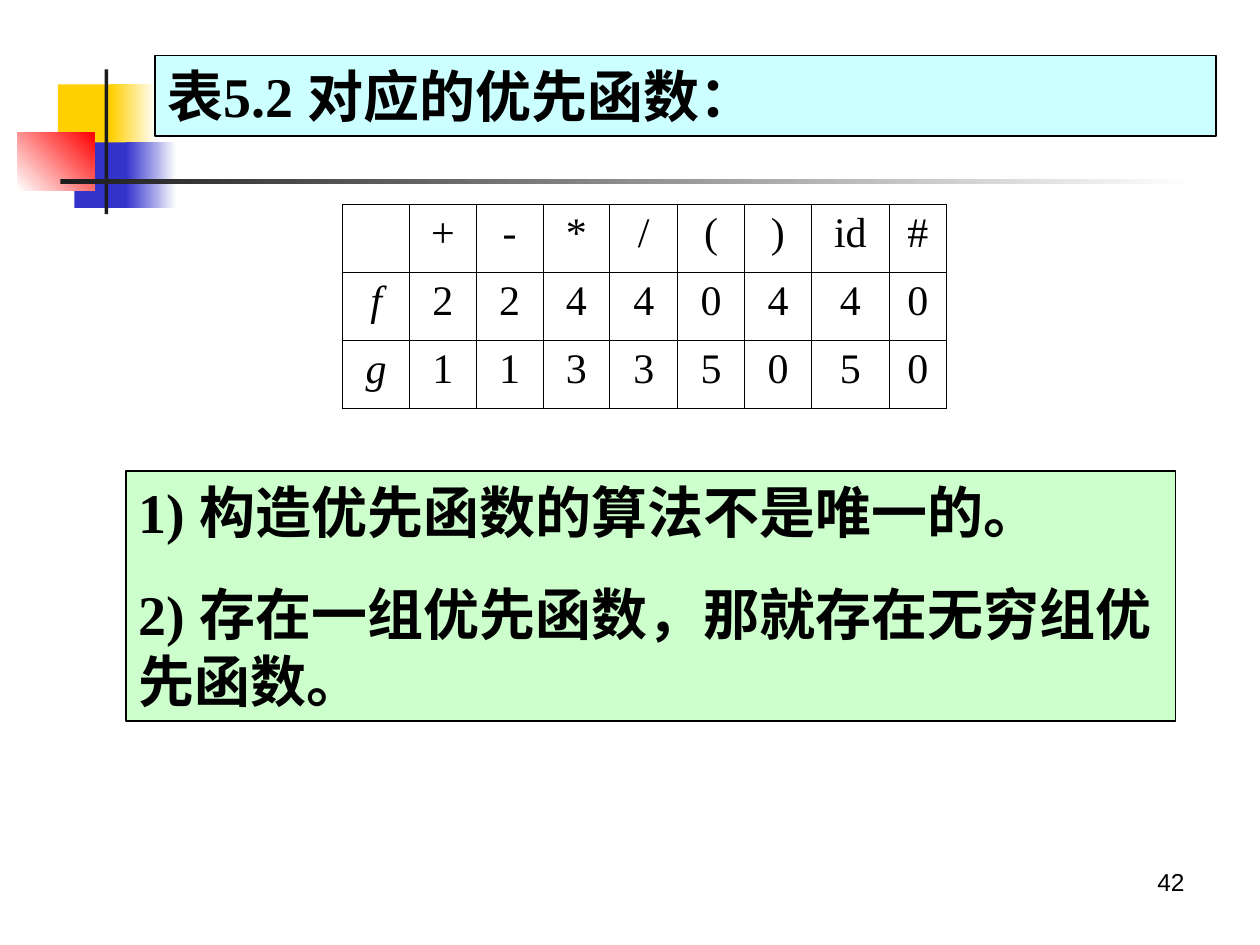
from lxml import etree
from pptx import Presentation, util as u
from pptx.dml.color import RGBColor
from pptx.enum import shapes, text
from pptx.oxml.ns import qn

SERIF = "Times New Roman"
BLACK, WHITE = "000000", "FFFFFF"
HEADING = "表5.2 对应的优先函数："
NOTES = ["1) 构造优先函数的算法不是唯一的。",
         "2) 存在一组优先函数，那就存在无穷组优先函数。"]
PAGE_NUMBER = "42"
PRECEDENCE = [["", "+", "-", "*", "/", "(", ")", "id", "#"],
              ["f", "2", "2", "4", "4", "0", "4", "4", "0"],
              ["g", "1", "1", "3", "3", "5", "0", "5", "0"]]
COLUMN_WIDTHS = [0.53] * 4 + [0.54, 0.53, 0.53, 0.62, 0.45]
ROW_HEIGHT = 0.54

# Corner ornament: place, colours (two make a gradient), counter-clockwise angle
ORNAMENT = [((0.46, 0.67, 0.48, 0.52), ["FFCF01"], 0),
            ((0.88, 0.67, 0.36, 0.52), ["FFCF01", WHITE], 0),
            ((0.59, 1.13, 0.46, 0.52), ["3333CC"], 0),
            ((1.00, 1.13, 0.40, 0.52), ["3333CC", WHITE], 0),
            ((0.14, 1.05, 0.61, 0.46), [WHITE, "FF0000"], 45),
            ((0.83, 0.55, 0.03, 1.15), ["1C1C1C"], 0),
            ((0.48, 1.42, 9.00, 0.04), ["1C1C1C", WHITE], 0)]


def rgb(color):
    return RGBColor.from_string(color)


def inches(place):
    return [u.Inches(length) for length in place]


def paint(target, color):
    target.fill.solid()
    target.fill.fore_color.rgb = rgb(color)


def outline(shape, color, points):
    shape.line.color.rgb = rgb(color)
    shape.line.width = u.Pt(points)


def rectangle(place):
    rect = slide.shapes.add_shape(shapes.MSO_SHAPE.RECTANGLE, *inches(place))
    rect.shadow.inherit = False
    return rect


def write(frame, lines, size, font=SERIF, align=text.PP_ALIGN.LEFT,
          bold=False, italic=False, gap=0):
    frame.word_wrap = True
    frame.vertical_anchor = text.MSO_ANCHOR.TOP
    for i, line in enumerate(lines):
        paragraph = frame.add_paragraph() if i else frame.paragraphs[0]
        paragraph.alignment = align
        paragraph.space_before = u.Pt(gap if i else 0)
        run = paragraph.add_run()
        run.text = line
        run.font.name, run.font.size = font, u.Pt(size)
        run.font.bold, run.font.italic = bold, italic
        run.font.color.rgb = rgb(BLACK)


def border(cell, points):
    properties = cell._tc.get_or_add_tcPr()
    for i, side in enumerate(("a:lnL", "a:lnR", "a:lnT", "a:lnB")):
        edge = etree.Element(qn(side), w=str(int(u.Pt(points))))
        fill = etree.SubElement(edge, qn("a:solidFill"))
        etree.SubElement(fill, qn("a:srgbClr"), val=BLACK)
        properties.insert(i, edge)


prs = Presentation()
prs.slide_width, prs.slide_height = inches((10, 7.5))
slide = prs.slides.add_slide(prs.slide_layouts[5])

# Corner ornament and rule
for place, colors, angle in ORNAMENT:
    block = rectangle(place)
    block.line.fill.background()
    if len(colors) == 1:
        paint(block, colors[0])
    else:
        block.fill.gradient()
        block.fill.gradient_angle = angle
        for stop, color in zip(block.fill.gradient_stops, colors):
            stop.color.rgb = rgb(color)

# Heading, in front of the ornament
heading = slide.shapes.title
heading.element.getparent().append(heading.element)
heading.left, heading.top, heading.width, heading.height = inches((1.23, 0.44, 8.42, 0.64))
paint(heading, "CCFFFF")
outline(heading, BLACK, 1)
heading.text_frame.auto_size = text.MSO_AUTO_SIZE.NONE
write(heading.text_frame, [HEADING], 32, bold=True)

# Notes on the precedence functions
notes = rectangle((1, 3.74, 8.33, 1.98))
paint(notes, "CCFFCC")
outline(notes, BLACK, 1)
write(notes.text_frame, NOTES, 32, bold=True, gap=20)

# Precedence function table
size = (sum(COLUMN_WIDTHS), ROW_HEIGHT * len(PRECEDENCE))
table = slide.shapes.add_table(len(PRECEDENCE), len(COLUMN_WIDTHS),
                               *inches((2.72, 1.62, *size))).table
table.first_row = table.horz_banding = False
for column, width in zip(table.columns, COLUMN_WIDTHS):
    column.width = u.Inches(width)
for r, values in enumerate(PRECEDENCE):
    for c, value in enumerate(values):
        cell = table.cell(r, c)
        cell.fill.background()
        border(cell, 0.45)
        if value:
            write(cell.text_frame, [value], 24, align=text.PP_ALIGN.CENTER,
                  italic=c == 0)

# Page number
number = slide.shapes.add_textbox(*inches((7.17, 6.83, 2.33, 0.52)))
write(number.text_frame, [PAGE_NUMBER], 14, "Arial", text.PP_ALIGN.RIGHT)

prs.save("out.pptx")
